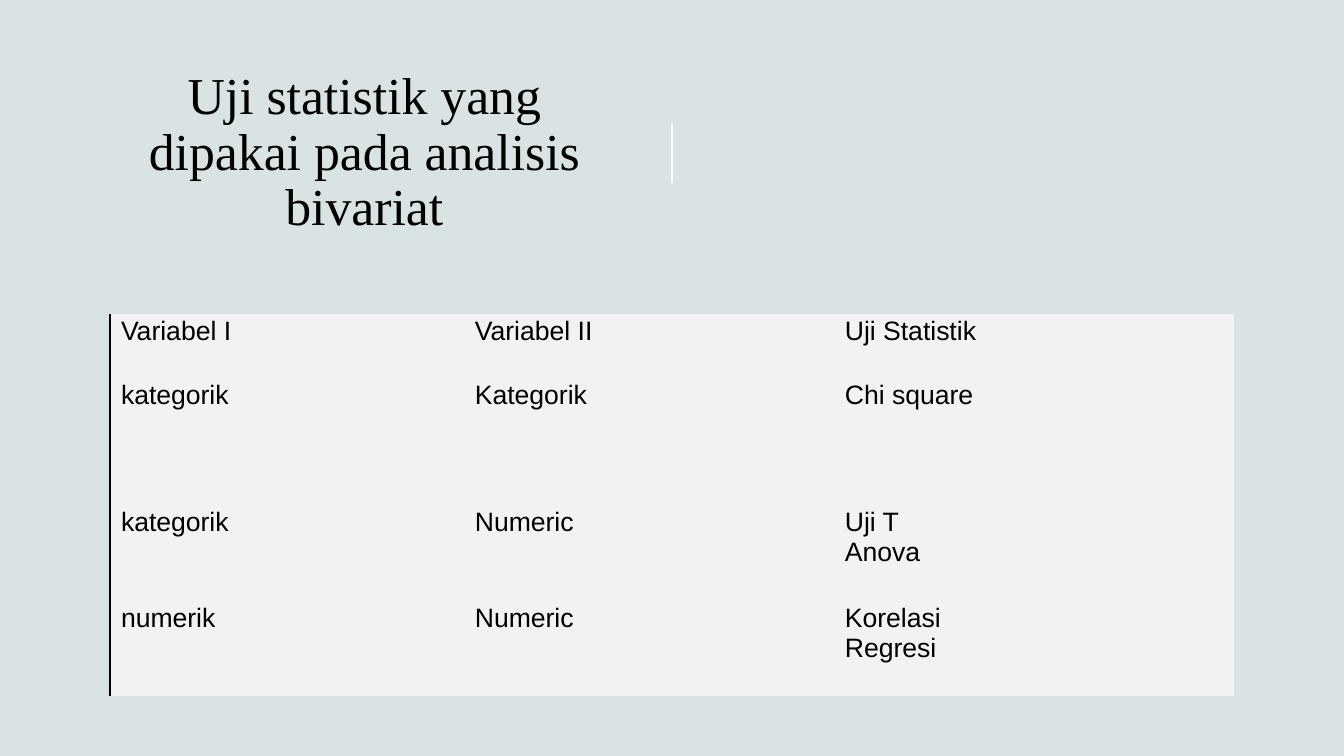
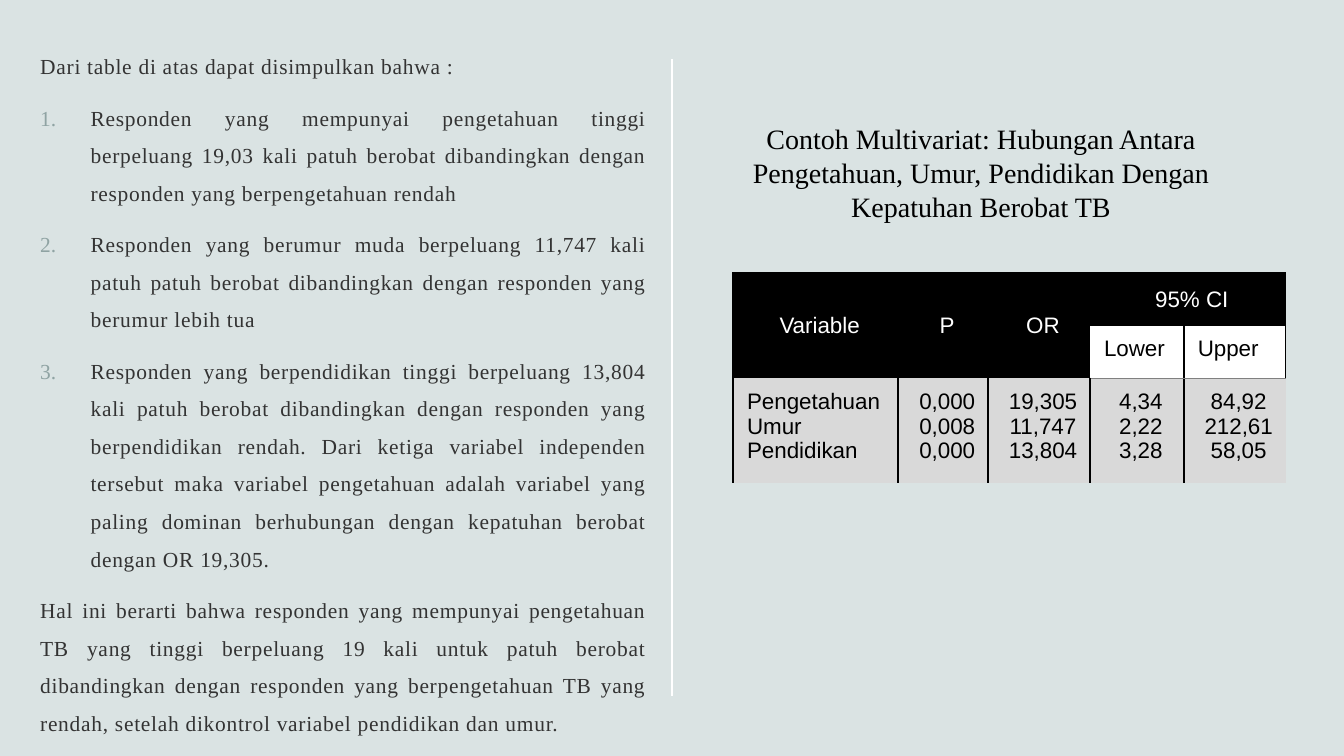
import pptx
import pptx.util
import pptx.dml.color
import pptx.enum.shapes
import pptx.enum.text
import pptx.oxml.ns
import lxml.etree

Pt = pptx.util.Pt
Inches = pptx.util.Inches
ALIGN = pptx.enum.text.PP_ALIGN
ANCHOR = pptx.enum.text.MSO_ANCHOR
qn = pptx.oxml.ns.qn

SERIF, SANS = "Times New Roman", "Arial"
BACK, BLACK, WHITE, INK, NUMBER = "DAE3E3", "000000", "FFFFFF", "333333", "8FA3A3"
PALE, SILVER, GREY = "F2F2F2", "D9D9D9", "808080"
PLAIN_TABLE = "{2D5ABB26-0587-4C30-8999-92F81FD0307C}"


def rgb(value):
    return pptx.dml.color.RGBColor.from_string(value)


def style_cell(cell, fill, color, size, align, insets, borders):
    cell.margin_left, cell.margin_top, cell.margin_right, cell.margin_bottom = map(Inches, insets)
    tcPr = cell._tc.get_or_add_tcPr()
    for side in "LRTB":
        if side in borders:
            line_color, width = borders[side]
            ln = lxml.etree.SubElement(tcPr, qn("a:ln" + side), w=str(Pt(width)))
            line_fill = lxml.etree.SubElement(ln, qn("a:solidFill"))
            lxml.etree.SubElement(line_fill, qn("a:srgbClr"), val=line_color)
    cell.fill.solid()
    cell.fill.fore_color.rgb = rgb(fill)
    for p in cell.text_frame.paragraphs:
        p.alignment = align
        for r in p.runs:
            r.font.name, r.font.size, r.font.color.rgb = SANS, Pt(size), rgb(color)


prs = pptx.Presentation()
prs.slide_width, prs.slide_height = Inches(13.33), Inches(7.5)
col, row = prs.slide_width / 100, prs.slide_height / 100

pages = [
    {
        "title": "Uji statistik yang dipakai pada analisis bivariat",
        "title_box": (8.85, 7.73, 36.53, 25.07),
        "title_size": 37, "spacing": 0.9, "anchor": ANCHOR.MIDDLE, "bottom": 0.05,
        "divider": (16.4, 24.27),
        "corner": (8.18, 41.47),
        "widths": (26.33, 27.53, 29.78),
        "heights": (8.53, 16.8, 12.67, 12.67),
        "rows": [
            ("Variabel I", "Variabel II", "Uji Statistik"),
            ("kategorik", "Kategorik", "Chi square"),
            ("kategorik", "Numeric", "Uji T\nAnova"),
            ("numerik", "Numeric", "Korelasi\nRegresi"),
        ],
    },
    {
        "title": "Contoh Multivariat: Hubungan Antara Pengetahuan, Umur, "
                 "Pendidikan Dengan Kepatuhan Berobat TB",
        "title_box": (54.54, 11.2, 36.91, 23.33),
        "title_size": 20, "spacing": 1.0, "anchor": ANCHOR.BOTTOM, "bottom": 0.38,
        "divider": (7.87, 92.13),
        "corner": (54.54, 36.13),
        "widths": (12.3, 6.68, 7.58, 6.98, 7.58),
        "heights": (6.93, 6.93, 13.87),
        "rows": [
            ("Variable", "P", "OR", "95% CI", ""),
            ("", "", "", "Lower", "Upper"),
            ("Pengetahuan\nUmur\nPendidikan", "0,000\n0,008\n0,000",
             "19,305\n11,747\n13,804", "4,34\n2,22\n3,28", "84,92\n212,61\n58,05"),
        ],
    },
]

slides, tables = [], []
for page in pages:
    s = prs.slides.add_slide(prs.slide_layouts[6])
    s.background.fill.solid()
    s.background.fill.fore_color.rgb = rgb(BACK)

    x, y, w, h = page["title_box"]
    sp = s.shapes.add_textbox(int(x * col), int(y * row), int(w * col), int(h * row))
    tf = sp.text_frame
    tf.word_wrap = True
    tf.vertical_anchor = page["anchor"]
    tf.margin_bottom = Inches(page["bottom"])
    tf.text = page["title"]
    p = tf.paragraphs[0]
    p.alignment, p.line_spacing = ALIGN.CENTER, page["spacing"]
    font = p.runs[0].font
    font.name, font.size, font.color.rgb = SERIF, Pt(page["title_size"]), rgb(BLACK)

    top, bottom = page["divider"]
    divider = s.shapes.add_connector(
        pptx.enum.shapes.MSO_CONNECTOR.STRAIGHT,
        int(50 * col), int(top * row), int(50 * col), int(bottom * row))
    divider.line.color.rgb = rgb(WHITE)
    divider.line.width = Pt(1)
    lxml.etree.SubElement(divider._element.spPr, qn("a:effectLst"))

    x, y = page["corner"]
    widths, heights = page["widths"], page["heights"]
    frame = s.shapes.add_table(
        len(heights), len(widths), int(x * col), int(y * row),
        int(sum(widths) * col), int(sum(heights) * row))
    table = frame.table
    table.first_row = table.horz_banding = False
    table._tbl.tblPr.find(qn("a:tableStyleId")).text = PLAIN_TABLE
    for column, width in zip(table.columns, widths):
        column.width = int(width * col)
    for line, height in zip(table.rows, heights):
        line.height = int(height * row)
    for i, texts in enumerate(page["rows"]):
        for j, text in enumerate(texts):
            if text:
                table.cell(i, j).text = text
    slides.append(s)
    tables.append(table)

tests, ratios = tables

for i in range(4):
    for j in range(3):
        borders = {"L": (BLACK, 1)} if j == 0 else {}
        style_cell(tests.cell(i, j), PALE, BLACK, 19, ALIGN.JUSTIFY,
                   (0.11, 0.03, 0.12, 0.23), borders)

edge, hairline = (BLACK, 1.5), (GREY, 0.5)
for i in range(3):
    for j in range(5):
        borders = {}
        if i == 0:
            borders["T"] = edge
        if j == 0 or i == 2 or (i, j) == (1, 4):
            borders["L"] = edge
        if (i == 2 and j < 4) or (i == 1 and j > 2):
            borders["R"] = edge
        if i == 1 and j > 2:
            borders["B"] = hairline
        if i == 2 and j > 2:
            borders["T"] = hairline
        if i == 2:
            fill, color = SILVER, BLACK
        elif i == 1 and j > 2:
            fill, color = WHITE, BLACK
        else:
            fill, color = BLACK, WHITE
        left = i == 1 or (i == 2 and j == 0)
        style_cell(ratios.cell(i, j), fill, color, 16,
                   ALIGN.JUSTIFY if left else ALIGN.CENTER,
                   (0.14, 0.11, 0.06, 0.11), borders)
for j in range(3):
    ratios.cell(0, j).merge(ratios.cell(1, j))
ratios.cell(0, 3).merge(ratios.cell(0, 4))
for j in range(4):
    ratios.cell(0, j).vertical_anchor = ANCHOR.MIDDLE

findings = [
    ("Dari table di atas dapat disimpulkan bahwa :", False),
    ("Responden yang mempunyai pengetahuan tinggi berpeluang 19,03 kali patuh berobat "
     "dibandingkan dengan responden yang berpengetahuan rendah", True),
    ("Responden yang berumur muda berpeluang 11,747 kali patuh patuh berobat "
     "dibandingkan dengan responden yang berumur lebih tua", True),
    ("Responden yang berpendidikan tinggi berpeluang 13,804 kali patuh berobat "
     "dibandingkan dengan responden yang berpendidikan rendah. Dari ketiga variabel "
     "independen tersebut maka variabel pengetahuan adalah variabel yang paling dominan "
     "berhubungan dengan kepatuhan berobat dengan OR 19,305.", True),
    ("Hal ini berarti bahwa responden yang mempunyai pengetahuan TB yang tinggi "
     "berpeluang 19 kali untuk patuh berobat dibandingkan dengan responden yang "
     "berpengetahuan TB yang rendah, setelah dikontrol variabel pendidikan dan umur.", False),
]
sp = slides[1].shapes.add_textbox(
    int(2.25 * col), int(4.8 * row), int(46.59 * col), int(91.73 * row))
tf = sp.text_frame
tf.word_wrap = True
tf.text = "\n".join(text for text, numbered in findings)
for p, (text, numbered) in zip(tf.paragraphs, findings):
    p.alignment, p.line_spacing, p.space_before = ALIGN.JUSTIFY, 1.46, Pt(10)
    r = p.runs[0]
    r.font.name, r.font.size, r.font.color.rgb = SERIF, Pt(15.3), rgb(INK)
    r.font._element.set("spc", "50")
    if numbered:
        pPr = p._p.get_or_add_pPr()
        pPr.set("marL", str(Inches(0.5)))
        pPr.set("indent", str(-Inches(0.5)))
        bullet_color = lxml.etree.SubElement(pPr, qn("a:buClr"))
        lxml.etree.SubElement(bullet_color, qn("a:srgbClr"), val=NUMBER)
        lxml.etree.SubElement(pPr, qn("a:buAutoNum"), type="arabicPeriod")

prs.save("out.pptx")
